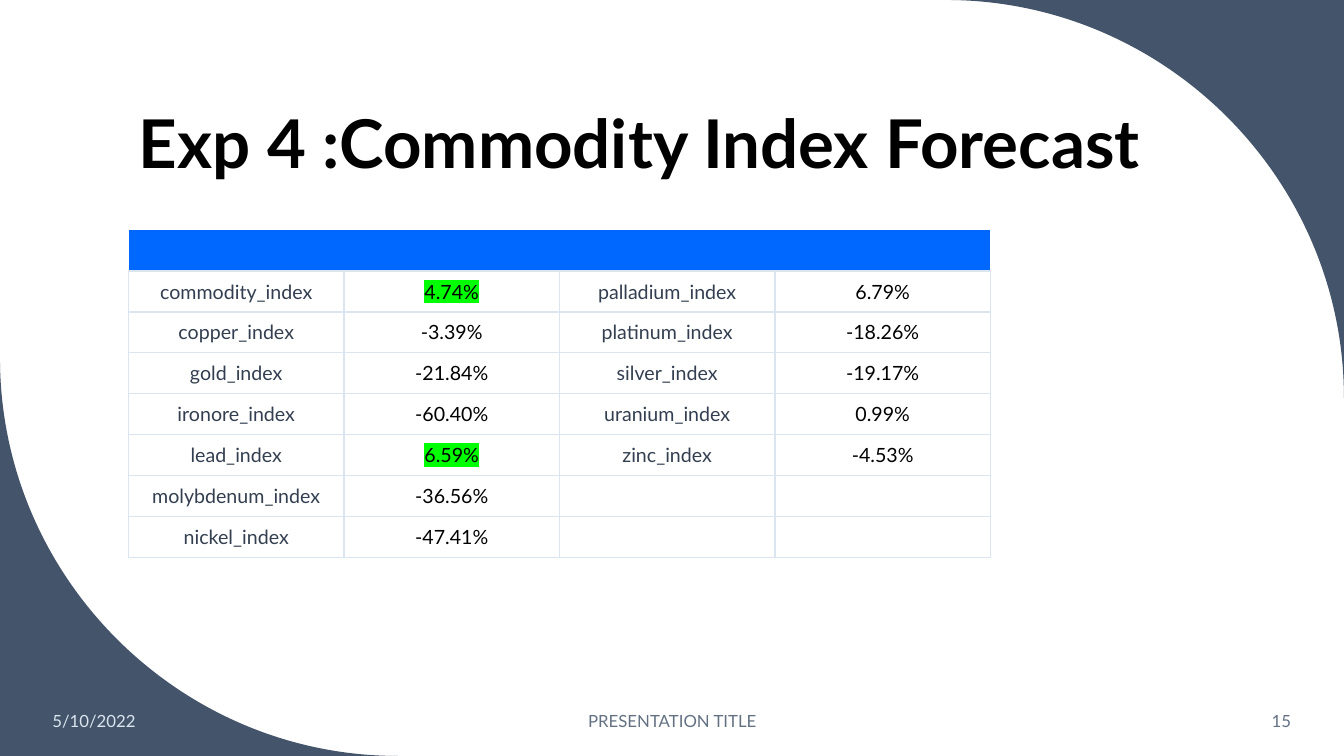
from lxml import etree
from pptx import Presentation
from pptx.dml.color import RGBColor
from pptx.enum.text import MSO_ANCHOR, PP_ALIGN
from pptx.oxml.ns import qn
from pptx.util import Cm, Pt

LEFT, CENTER, RIGHT = PP_ALIGN.LEFT, PP_ALIGN.CENTER, PP_ALIGN.RIGHT
MIDDLE, BOTTOM = MSO_ANCHOR.MIDDLE, MSO_ANCHOR.BOTTOM

FONT = "Lato"
BLACK = RGBColor(0x00, 0x00, 0x00)
WHITE = RGBColor(0xFF, 0xFF, 0xFF)
SLATE = RGBColor(0x44, 0x54, 0x6A)
DARK_SLATE = RGBColor(0x33, 0x3F, 0x50)
GREY = RGBColor(0x63, 0x71, 0x83)
PALE_BLUE = RGBColor(0xDA, 0xE5, 0xEF)
BLUE = RGBColor(0x00, 0x68, 0xFF)
GREEN = RGBColor(0x00, 0xFF, 0x00)

TITLE = "Exp 4 :Commodity Index Forecast"
FORECASTS = [
    ("commodity_index", "4.74%", "palladium_index", "6.79%"),
    ("copper_index", "-3.39%", "platinum_index", "-18.26%"),
    ("gold_index", "-21.84%", "silver_index", "-19.17%"),
    ("ironore_index", "-60.40%", "uranium_index", "0.99%"),
    ("lead_index", "6.59%", "zinc_index", "-4.53%"),
    ("molybdenum_index", "-36.56%", "", ""),
    ("nickel_index", "-47.41%", "", ""),
]
HIGHLIGHTED = {"4.74%", "6.59%"}
# text, left, width, alignment, colour
FOOTERS = [
    ("5/10/2022", 1.07, 4.72, LEFT, PALE_BLUE),
    ("PRESENTATION TITLE", 11.23, 11.43, CENTER, GREY),
    ("15", 28.19, 4.6, RIGHT, GREY),
]

SLIDE_WIDTH, SLIDE_HEIGHT = 33.87, 19.05
CORNER_RADIUS = 10.03
ARC_HANDLE = 0.55  # Bezier handle of a quarter circle, as a share of its radius
TABLE_LEFT, TABLE_TOP = 3.24, 5.8
COLUMN_WIDTH, ROW_HEIGHT = 5.43, 1.03


def add_run(paragraph, text, size, color, bold=False):
    """Append a formatted run and return it."""
    run = paragraph.add_run()
    run.text = text
    run.font.size = Pt(size)
    run.font.bold = bold
    run.font.color.rgb = color
    run.font.name = FONT
    return run


def highlight(run, color):
    """Put a marker colour behind a run."""
    marker = etree.Element(qn("a:highlight"))
    etree.SubElement(marker, qn("a:srgbClr"), val=str(color))
    run.font._element.find(qn("a:solidFill")).addnext(marker)


def add_text(slide, box, text, size, color, alignment, anchor, bold=False):
    """Add a one-line text box and return its paragraph."""
    frame = slide.shapes.add_textbox(*(Cm(length) for length in box)).text_frame
    frame.word_wrap = True
    frame.vertical_anchor = anchor
    paragraph = frame.paragraphs[0]
    paragraph.alignment = alignment
    add_run(paragraph, text, size, color, bold)
    return paragraph


def add_corner(slide, x, y, x_sign, y_sign):
    """Fill the area between a slide corner and a quarter circle."""
    def point(across, down):
        """Place a point by its distances from the corner, in radii."""
        return (Cm(x + x_sign * across * CORNER_RADIUS),
                Cm(y + y_sign * down * CORNER_RADIUS))

    builder = slide.shapes.build_freeform(*point(0, 0))
    builder.add_line_segments([point(1, 0), point(0, 1)], close=True)
    shape = builder.convert_to_shape()
    shape.shadow.inherit = False
    shape.fill.solid()
    shape.fill.fore_color.rgb = SLATE
    shape.line.fill.background()

    diagonal = list(shape._element.iter(qn("a:lnTo")))[1]
    curve = etree.Element(qn("a:cubicBezTo"))
    for left, top in (point(1 - ARC_HANDLE, 0), point(0, 1 - ARC_HANDLE), point(0, 1)):
        etree.SubElement(curve, qn("a:pt"), x=str(left - shape.left), y=str(top - shape.top))
    diagonal.getparent().replace(diagonal, curve)


def set_borders(cell, visible):
    """Draw the sides named in visible and clear the others."""
    properties = cell._tc.get_or_add_tcPr()
    for index, side in enumerate("LRTB"):
        line = etree.Element(qn("a:ln" + side), w=str(Pt(1)))
        if side in visible:
            fill = etree.SubElement(line, qn("a:solidFill"))
            etree.SubElement(fill, qn("a:srgbClr"), val=str(PALE_BLUE))
        else:
            etree.SubElement(line, qn("a:noFill"))
        properties.insert(index, line)


def add_forecast_table(slide):
    """Add the table with its empty header band."""
    rows = [("",) * len(FORECASTS[0])] + FORECASTS
    columns = len(rows[0])
    table = slide.shapes.add_table(
        len(rows), columns, Cm(TABLE_LEFT), Cm(TABLE_TOP),
        Cm(COLUMN_WIDTH * columns), Cm(ROW_HEIGHT * len(rows))).table
    table.horz_banding = False
    for column in table.columns:
        column.width = Cm(COLUMN_WIDTH)
    for row_index, texts in enumerate(rows):
        table.rows[row_index].height = Cm(ROW_HEIGHT)
        is_header = row_index == 0
        for column_index, text in enumerate(texts):
            cell = table.cell(row_index, column_index)
            cell.fill.solid()
            cell.fill.fore_color.rgb = BLUE if is_header else WHITE
            cell.vertical_anchor = MIDDLE
            cell.margin_top = cell.margin_bottom = 0
            set_borders(cell, "B" if is_header else "LRTB")
            if text:
                paragraph = cell.text_frame.paragraphs[0]
                paragraph.alignment = CENTER
                color = BLACK if column_index % 2 else DARK_SLATE
                run = add_run(paragraph, text, 14, color)
                if text in HIGHLIGHTED:
                    highlight(run, GREEN)


presentation = Presentation()
presentation.slide_width = Cm(SLIDE_WIDTH)
presentation.slide_height = Cm(SLIDE_HEIGHT)
slide = presentation.slides.add_slide(presentation.slide_layouts[6])

add_corner(slide, SLIDE_WIDTH, 0, -1, 1)
add_corner(slide, 0, SLIDE_HEIGHT, 1, -1)
title = add_text(slide, (3.25, 1.07, 27.15, 3.68), TITLE, 48, BLACK, LEFT, BOTTOM, bold=True)
title.line_spacing = 0.9
add_forecast_table(slide)
for text, left, width, alignment, color in FOOTERS:
    add_text(slide, (left, 17.65, width, 1.02), text, 12, color, alignment, MIDDLE)

presentation.save("out.pptx")
